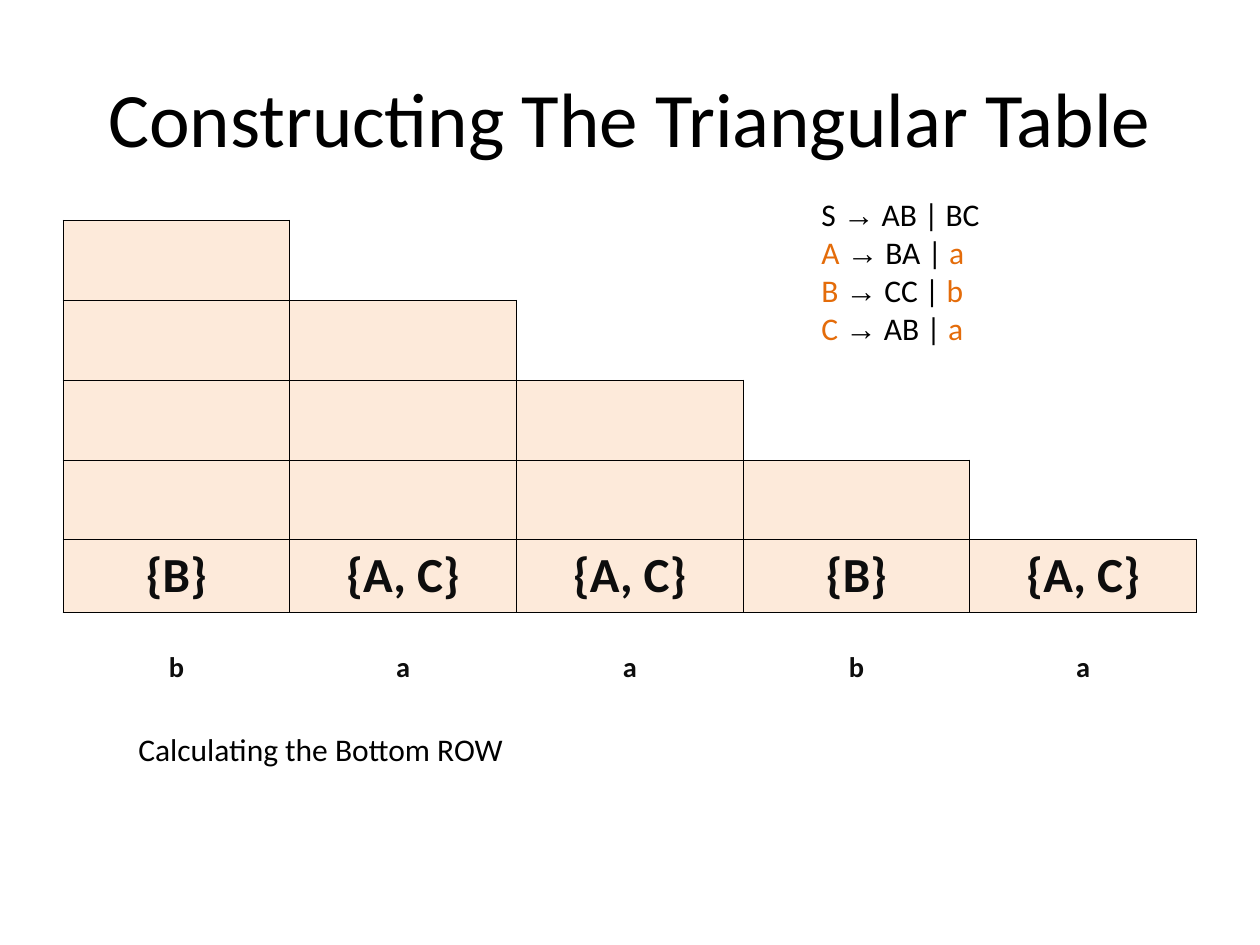
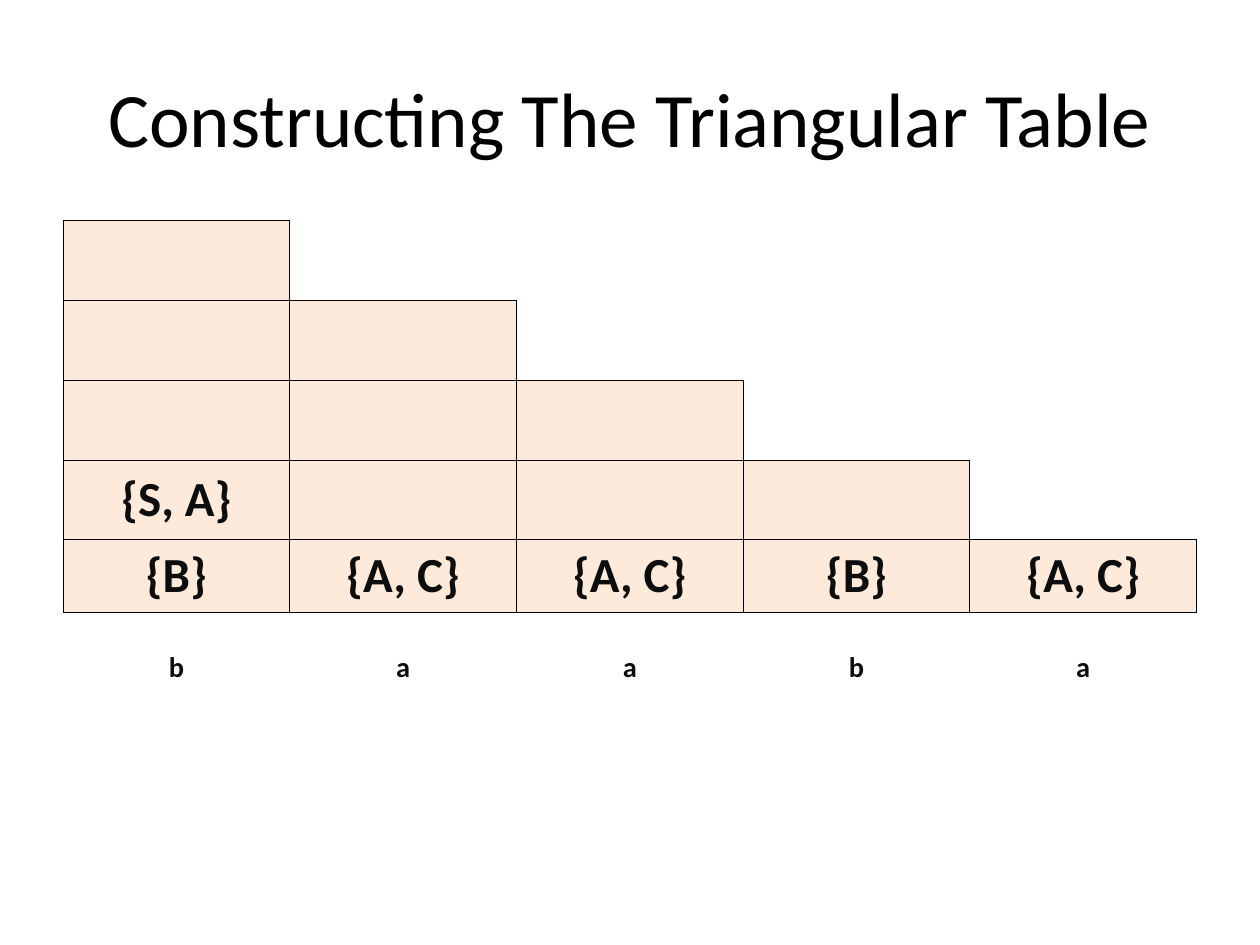
import pptx
import pptx.dml.color
import pptx.enum.text
import pptx.oxml
import pptx.oxml.ns
import pptx.util
from pptx.util import Cm

COLORS = {"text": "000000", "entry": "0D0D0D", "accent": "E46C0A",
          "cell": "FDEADA", "border": "000000"}
FONT, ARROW_FONT = "Calibri", "Arial"
WORD = "baaba"
SIZE = len(WORD)
COLUMN_WIDTH = Cm(4.57)
ROW_HEIGHTS = [Cm(1.61)] * 4 + [Cm(1.45), Cm(1.61)]
BOTTOM_ROW = {(SIZE - 1, column): "{B}" if letter == "b" else "{A, C}"
              for column, letter in enumerate(WORD)}
LETTERS = {(SIZE, column): letter for column, letter in enumerate(WORD)}
STEPS = [{}, {(SIZE - 2, 0): "{S, A}"}]
RULES = [("S", " AB | BC", ""), ("A", " BA | ", "a"),
         ("B", " CC | ", "b"), ("C", " AB | ", "a")]


def style(font, size, color, name=FONT, bold=False):
    font.name, font.size, font.bold = name, pptx.util.Pt(size), bold
    font.color.rgb = pptx.dml.color.RGBColor.from_string(COLORS[color])


def in_triangle(row, column):
    return 0 <= column <= row < SIZE


deck = pptx.Presentation()
deck.slide_width, deck.slide_height = Cm(25.4), Cm(19.05)

# Title and triangular table on every slide
for step in STEPS:
    slide = deck.slides.add_slide(deck.slide_layouts[5])
    title = slide.shapes.title
    title.left, title.top, title.width, title.height = Cm(1.27), Cm(0.76), Cm(22.86), Cm(3.18)
    title.text_frame.text = "Constructing The Triangular Table"
    title.text_frame.vertical_anchor = pptx.enum.text.MSO_ANCHOR.MIDDLE
    heading = title.text_frame.paragraphs[0]
    heading.alignment = pptx.enum.text.PP_ALIGN.CENTER
    style(heading.font, 44, "text")

    triangle = slide.shapes.add_table(SIZE + 1, SIZE, Cm(1.27), Cm(4.44),
                                      COLUMN_WIDTH * SIZE, sum(ROW_HEIGHTS)).table
    triangle.first_row = triangle.horz_banding = False
    for column in triangle.columns:
        column.width = COLUMN_WIDTH
    for row, height in zip(triangle.rows, ROW_HEIGHTS):
        row.height = height

    entries = {**BOTTOM_ROW, **LETTERS, **step}
    for row in range(SIZE + 1):
        for column in range(SIZE):
            cell = triangle.cell(row, column)
            filled = in_triangle(row, column)

            # An edge is drawn when the triangle lies on either side of it
            neighbours = {"L": (row, column - 1), "R": (row, column + 1),
                          "T": (row - 1, column), "B": (row + 1, column)}
            for side, neighbour in neighbours.items():
                drawn = filled or in_triangle(*neighbour)
                paint = (f'<a:solidFill><a:srgbClr val="{COLORS["border"]}"/></a:solidFill>'
                         if drawn else "<a:noFill/>")
                cell._tc.get_or_add_tcPr().append(pptx.oxml.parse_xml(
                    f'<a:ln{side} {pptx.oxml.ns.nsdecls("a")} w="5715">{paint}</a:ln{side}>'))

            if filled:
                cell.fill.solid()
                cell.fill.fore_color.rgb = pptx.dml.color.RGBColor.from_string(COLORS["cell"])
            else:
                cell.fill.background()

            if (row, column) in entries:
                cell.vertical_anchor = pptx.enum.text.MSO_ANCHOR.MIDDLE
                entry = cell.text_frame.paragraphs[0]
                entry.alignment = pptx.enum.text.PP_ALIGN.CENTER
                run = entry.add_run()
                run.text = entries[row, column]
                style(entry.font, 28, "entry", bold=True)
                if row == SIZE:
                    run.font._element.set("baseline", "-25000")

# Caption on the first slide
first = deck.slides[0]
caption = first.shapes.add_textbox(Cm(2.54), Cm(14.6), Cm(10.8), Cm(1.02)).text_frame
caption.word_wrap = True
caption.text = "Calculating the Bottom ROW"
style(caption.paragraphs[0].font, 18, "text")

# Grammar, with the rules that give single letters highlighted
grammar = first.shapes.add_textbox(Cm(13.77), Cm(3.81), Cm(7.62), Cm(3.3)).text_frame
grammar.word_wrap = True
grammar.margin_left = Cm(2.79)
for index, (symbol, pairs, letter) in enumerate(RULES):
    rule = grammar.add_paragraph() if index else grammar.paragraphs[0]
    highlight = "accent" if letter else "text"
    for text, color, name in [(symbol + " ", highlight, FONT), ("→", "text", ARROW_FONT),
                              (pairs, "text", FONT), (letter, highlight, FONT)]:
        if text:
            part = rule.add_run()
            part.text = text
            style(part.font, 18, color, name)

deck.save("out.pptx")
